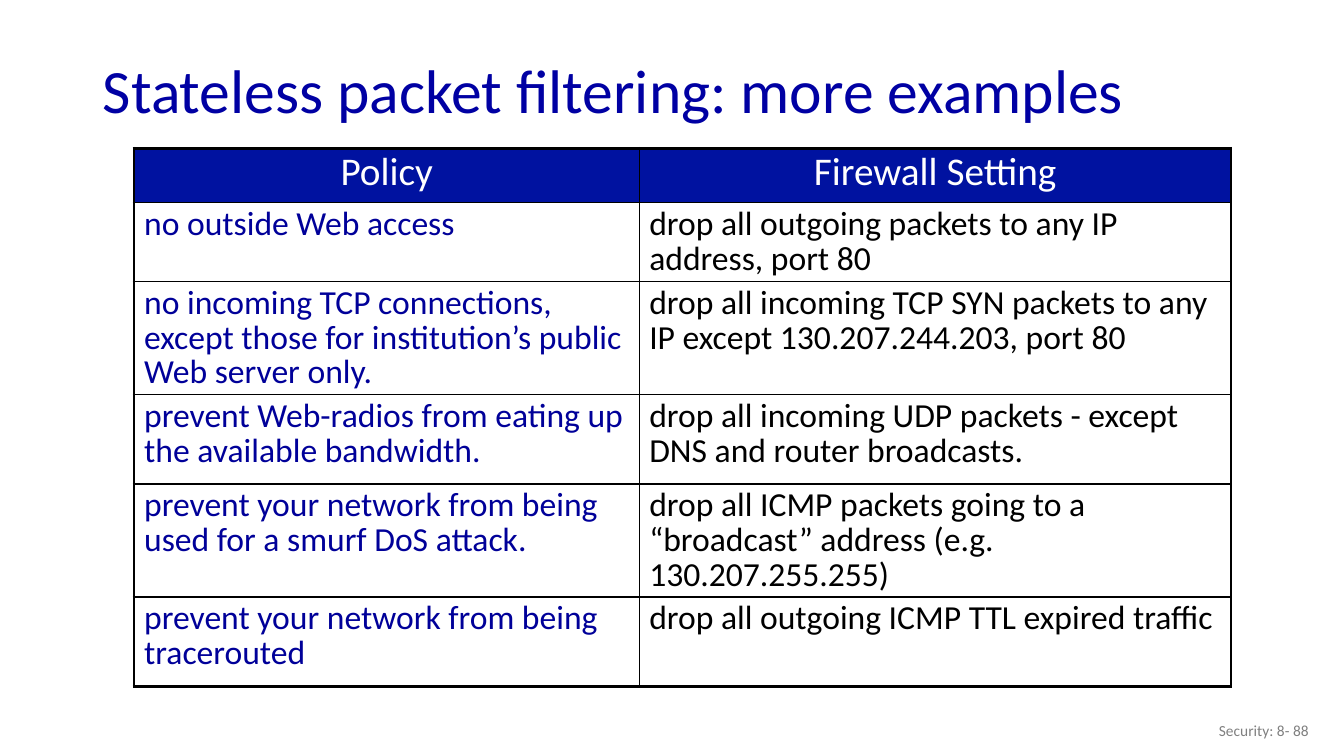
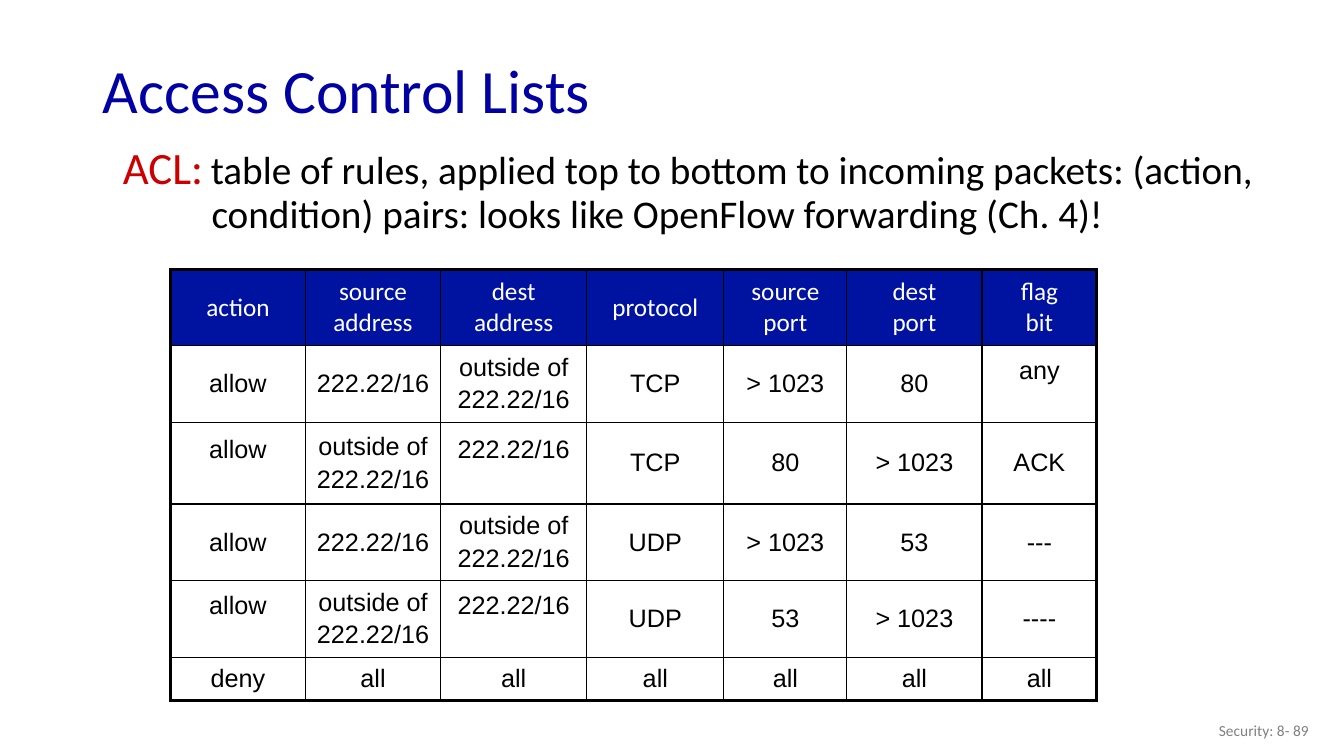
from lxml.etree import SubElement
from pptx import Presentation
from pptx.dml.color import RGBColor
from pptx.enum.text import MSO_ANCHOR as ANCHOR, MSO_AUTO_SIZE as AUTO, PP_ALIGN as ALIGN
from pptx.oxml.ns import qn
from pptx.util import Inches, Pt

COLORS = {
    "title": "0000A3",
    "header": "0012A0",
    "policy": "000099",
    "term": "CC0000",
    "text": "000000",
    "footer": "808080",
    "white": "FFFFFF",
}
FONT = "Calibri"
THIN, THICK = 1, 2.25

TITLE_BOX = (0.92, 0.44, 11.5, 0.98)
FOOTER_BOX = (10.08, 7.05, 3, 0.4)

POLICIES = [
    ("Policy", "Firewall Setting"),
    ("no outside Web access", "drop all outgoing packets to any IP address, port 80"),
    ("no incoming TCP connections, except those for institution’s public Web server only.",
     "drop all incoming TCP SYN packets to any IP except 130.207.244.203, port 80"),
    ("prevent Web-radios from eating up the available bandwidth.",
     "drop all incoming UDP packets - except DNS and router broadcasts."),
    ("prevent your network from being used for a smurf DoS attack.",
     "drop all ICMP packets going to a “broadcast” address (e.g. 130.207.255.255)"),
    ("prevent your network from being tracerouted",
     "drop all outgoing ICMP TTL expired traffic"),
]

INSIDE = "222.22/16"
OUTSIDE = "outside of\n222.22/16"
RULES = [
    ("action", "source\naddress", "dest\naddress", "protocol",
     "source\nport", "dest\nport", "flag\nbit"),
    ("allow", INSIDE, OUTSIDE, "TCP", "> 1023", "80", "any"),
    ("allow", OUTSIDE, INSIDE, "TCP", "80", "> 1023", "ACK"),
    ("allow", INSIDE, OUTSIDE, "UDP", "> 1023", "53", "---"),
    ("allow", OUTSIDE, INSIDE, "UDP", "53", "> 1023", "----"),
    ("deny",) + ("all",) * 6,
]
RAISED = {(1, 6), (2, 0), (2, 2), (4, 0), (4, 2)}  # cells whose text sits above the middle


def rgb(name):
    return RGBColor.from_string(COLORS[name])


def style(font, size, color, name=FONT):
    font.name, font.size, font.bold = name, Pt(size), False
    font.color.rgb = rgb(color)


def place(shape, box):
    shape.left, shape.top, shape.width, shape.height = map(Inches, box)


def add_text(s, box):
    tf = s.shapes.add_textbox(*map(Inches, box)).text_frame
    tf.word_wrap = True
    return tf


def add_title_slide(prs, title, number):
    """Add a slide with the shared title and footer."""
    s = prs.slides.add_slide(prs.slide_layouts[5])
    place(s.shapes.title, TITLE_BOX)
    tf = s.shapes.title.text_frame
    tf.text, tf.word_wrap, tf.auto_size = title, True, AUTO.NONE
    tf.vertical_anchor = ANCHOR.MIDDLE
    p = tf.paragraphs[0]
    p.alignment, p.line_spacing = ALIGN.LEFT, 0.9
    style(p.font, 44, "title")

    tf = add_text(s, FOOTER_BOX)
    tf.text, tf.vertical_anchor = f"Security: 8- {number}", ANCHOR.MIDDLE
    p = tf.paragraphs[0]
    p.alignment = ALIGN.RIGHT
    style(p.font, 11, "footer")
    return s


def set_borders(cell, widths):
    """Draw the left, right, top and bottom border in the given widths."""
    tcPr = cell._tc.get_or_add_tcPr()
    for side, width in zip("LRTB", widths):
        ln = SubElement(tcPr, qn(f"a:ln{side}"), w=str(Pt(width)))
        fill = SubElement(ln, qn("a:solidFill"))
        SubElement(fill, qn("a:srgbClr"), val=COLORS["text"])


def add_grid(s, left, top, widths, heights, rows, format_cell):
    """Add a table with a dark header row and a thick outer frame."""
    n_rows, n_cols = len(heights), len(widths)
    box = (left, top, sum(widths), sum(heights))
    table = s.shapes.add_table(n_rows, n_cols, *map(Inches, box)).table
    table.first_row = table.horz_banding = False
    for col, width in zip(table.columns, widths):
        col.width = Inches(width)
    for row, height in zip(table.rows, heights):
        row.height = Inches(height)
    for r, texts in enumerate(rows):
        for c, text in enumerate(texts):
            cell = table.cell(r, c)
            edges = (c == 0, c == n_cols - 1, r == 0, r == n_rows - 1)
            set_borders(cell, [THICK if edge else THIN for edge in edges])
            cell.fill.solid()
            cell.fill.fore_color.rgb = rgb("white" if r else "header")
            cell.text_frame.text = text
            format_cell(cell, r, c)


def format_policy_cell(cell, r, c):
    p = cell.text_frame.paragraphs[0]
    p.line_spacing = 0.85
    if r == 0:
        p.alignment = ALIGN.CENTER
        style(p.font, 28, "white")
    else:
        style(p.font, 24, "text" if c else "policy")


def format_rule_cell(cell, r, c):
    cell.vertical_anchor = ANCHOR.MIDDLE
    if (r, c) in RAISED:
        cell.margin_bottom = Inches(0.32)
    for i, p in enumerate(cell.text_frame.paragraphs):
        p.alignment = ALIGN.CENTER
        if r == 0:
            style(p.font, 18, "white")
        else:
            style(p.font, 18, "text", "Arial")
            p.space_before = Pt(3 if i else 0)


def add_definition(s, box):
    p = add_text(s, box).paragraphs[0]
    p.line_spacing, p.space_before = 0.9, Pt(4)
    indent = Inches(0.88)
    pPr = p._p.get_or_add_pPr()
    pPr.set("marL", str(indent))
    pPr.set("indent", str(-indent))
    for text, size, color in [
        ("ACL:", 32, "term"),
        (" ", 24, "term"),
        ("table of rules, applied top to bottom to incoming packets: (action, "
         "condition) pairs: looks like OpenFlow forwarding (Ch. 4)!", 28, "text"),
    ]:
        r = p.add_run()
        r.text = text
        style(r.font, size, color)


def build_filtering_slide(prs):
    s = add_title_slide(prs, "Stateless packet filtering: more examples", 88)
    add_grid(s, 1.33, 1.47, [5.01, 5.87], [0.54, 0.75, 1.1, 0.89, 1, 0.89],
             POLICIES, format_policy_cell)


def build_acl_slide(prs):
    s = add_title_slide(prs, "Access Control Lists", 89)
    add_grid(s, 1.69, 2.67, [1.34, 1.34, 1.45, 1.36, 1.22, 1.34, 1.14],
             [0.76, 0.76, 0.81, 0.76, 0.76, 0.43], RULES, format_rule_cell)
    add_definition(s, (1.12, 1.4, 11.5, 1.11))


def main():
    prs = Presentation()
    prs.slide_width, prs.slide_height = Inches(13.33), Inches(7.5)
    build_filtering_slide(prs)
    build_acl_slide(prs)
    prs.save("out.pptx")


if __name__ == "__main__":
    main()
